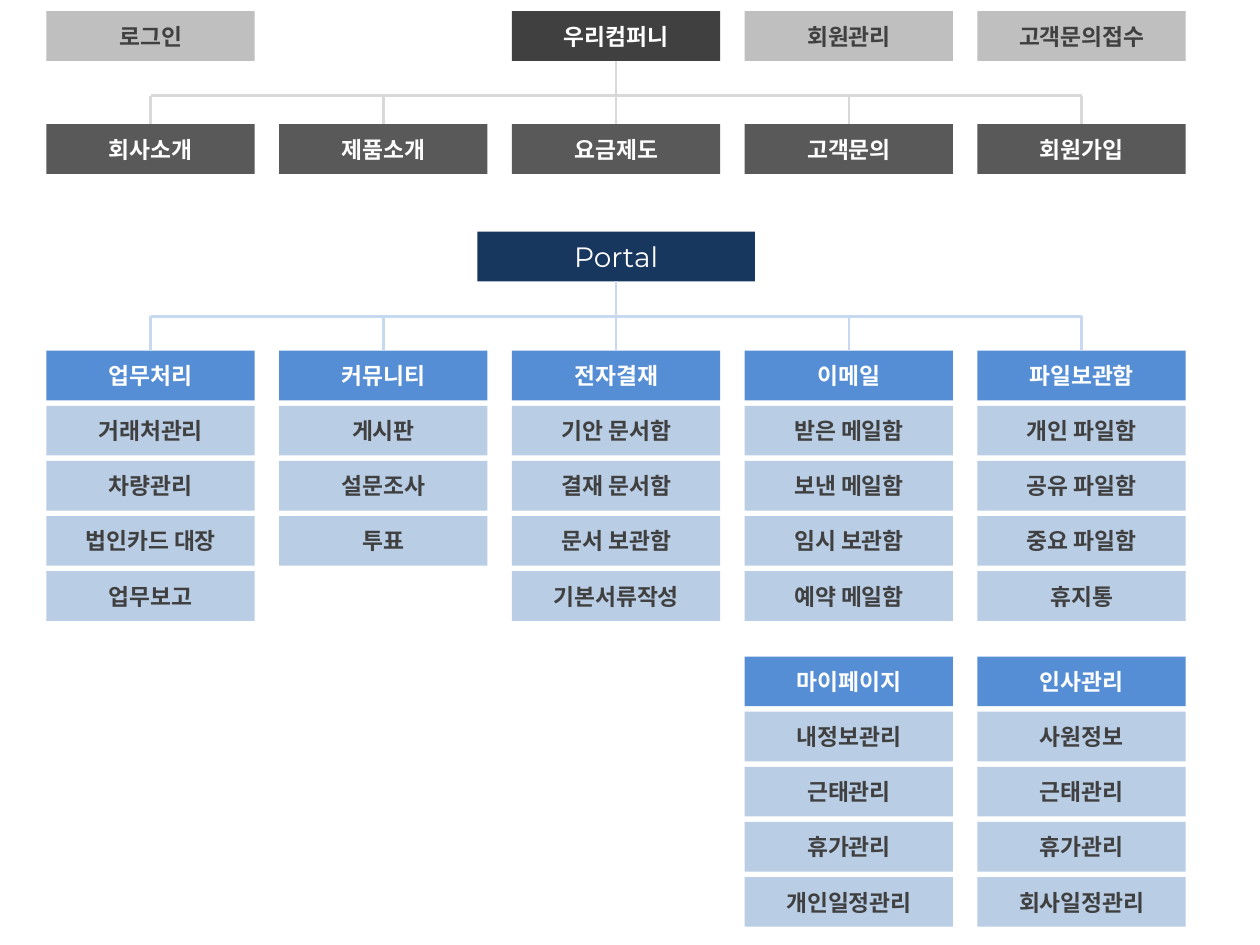
"""Build a site map slide with a public menu tree and a service menu tree."""
from lxml.etree import SubElement as Sub
from pptx import Presentation
from pptx.dml.color import RGBColor as Rgb
from pptx.enum.shapes import MSO_CONNECTOR as Link, MSO_SHAPE as Form
from pptx.enum.text import MSO_ANCHOR as Anchor, PP_ALIGN as Align
from pptx.oxml.ns import qn
from pptx.util import Pt

HUES = {
    "white": "FFFFFF", "ink": "404040", "slate": "595959", "grey": "BFBFBF",
    "rule": "D9D9D9", "navy": "17375E", "blue": "558ED5", "pale": "B9CDE5",
    "sky": "C6D9F1",
}
HANGUL = "Noto Sans CJK KR"
LEFT, STEP, WIDE, HIGH, PITCH = 26.6, 133, 119, 28.4, 31.5
TOP = 6.4
MID = LEFT + 2 * STEP + WIDE / 2

TOOLS = [(3, "회원관리"), (4, "고객문의접수"), (0, "로그인")]
PAGES = ["회사소개", "제품소개", "요금제도", "고객문의", "회원가입"]
MENUS = [
    ("업무처리", ["거래처관리", "차량관리", "법인카드 대장", "업무보고"]),
    ("커뮤니티", ["게시판", "설문조사", "투표"]),
    ("전자결재", ["기안 문서함", "결재 문서함", "문서 보관함", "기본서류작성"]),
    ("이메일", ["받은 메일함", "보낸 메일함", "임시 보관함", "예약 메일함"]),
    ("파일보관함", ["개인 파일함", "공유 파일함", "중요 파일함", "휴지통"]),
]
EXTRAS = [
    (3, "마이페이지", ["내정보관리", "근태관리", "휴가관리", "개인일정관리"]),
    (4, "인사관리", ["사원정보", "근태관리", "휴가관리", "회사일정관리"]),
]


def hue(name):
    return Rgb.from_string(HUES[name])


def write(shape, text, color="white", size=13, face=HANGUL, bold=True):
    frame = shape.text_frame
    frame.word_wrap = True
    frame.vertical_anchor = Anchor.MIDDLE
    para = frame.paragraphs[0]
    para.alignment = Align.CENTER
    run = para.add_run()
    run.text = text
    font = run.font
    font.size, font.bold, font.name = Pt(size), bold, face
    font.color.rgb = hue(color)
    Sub(font._element, qn("a:ea")).set("typeface", face)


def box(group, left, top, text, fill, wide=WIDE, **style):
    shape = group.shapes.add_shape(
        Form.RECTANGLE, Pt(left), Pt(top), Pt(wide), Pt(HIGH))
    shape.shadow.inherit = False
    shape.fill.solid()
    shape.fill.fore_color.rgb = hue(fill)
    shape.line.fill.background()
    write(shape, text, **style)
    return shape


def cell(group, col, top, text, fill, **style):
    return box(group, LEFT + col * STEP, top, text, fill, **style)


def line(group, start, end, color, head=None, tail=None):
    link = group.shapes.add_connector(
        Link.STRAIGHT, *[Pt(value) for value in start + end])
    link.line.color.rgb = hue(color)
    link.line.width = Pt(1.5)
    Sub(link._element.spPr, qn("a:effectLst"))
    if head is not None:
        link.begin_connect(head, 2)
    if tail is not None:
        link.end_connect(tail, 0)


def tree(group, root, kids, bus, color):
    first = LEFT + WIDE / 2
    line(group, (first, bus), (first + 4 * STEP, bus), color)
    for col, kid in enumerate(kids):
        x, end = first + col * STEP, kid.top.pt
        if col == 2:
            line(group, (x, root.top.pt + HIGH), (x, end), color, root, kid)
        else:
            line(group, (x, bus), (x, end), color, tail=kid)


def stack(group, col, top, title, items):
    head = cell(group, col, top, title, "blue")
    for row, item in enumerate(items, 1):
        cell(group, col, top + row * PITCH, item, "pale", color="ink")
    return head


def site(group):
    root = cell(group, 2, TOP, "우리컴퍼니", "ink")
    for col, text in TOOLS:
        cell(group, col, TOP, text, "grey", color="ink")
    kids = [cell(group, col, 71, text, "slate")
            for col, text in enumerate(PAGES)]
    tree(group, root, kids, 54.7, "rule")


def service(group):
    wide = 158.6
    root = box(group, MID - wide / 2, 132.4, "Portal", "navy", wide=wide,
               size=16, face="Montserrat", bold=False)
    kids = [stack(group, col, 200.4, *menu) for col, menu in enumerate(MENUS)]
    tree(group, root, kids, 180.8, "sky")
    for col, title, items in EXTRAS:
        stack(group, col, 375.2, title, items)


def main():
    deck = Presentation()
    deck.slide_width, deck.slide_height = Pt(720), Pt(540)
    slide = deck.slides.add_slide(deck.slide_layouts[6])
    for draw in (site, service):
        draw(slide.shapes.add_group_shape())
    deck.save("out.pptx")


if __name__ == "__main__":
    main()
